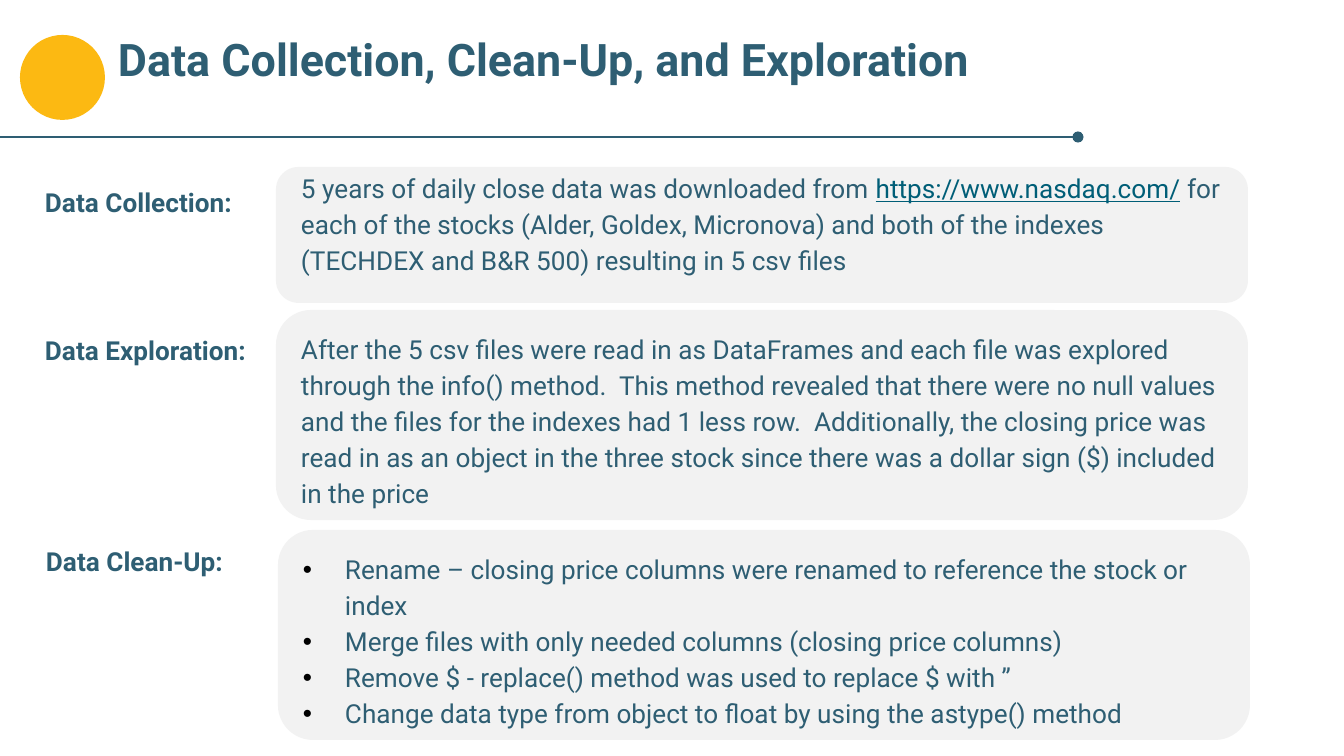
import pptx
import pptx.dml.color
import pptx.enum.shapes
import pptx.oxml
import pptx.oxml.ns
import pptx.util
from dataclasses import dataclass
from lxml import etree

TITLE = "Data Collection, Clean-Up, and Exploration"
SECTIONS = [
    {
        "label": "Data Collection:", "label_at": (32, 169),
        "panel_at": (276, 167), "height": 136, "body_shift": -12, "bullets": False,
        "body": [[
            ("5 years of daily close data was downloaded from ", False),
            ("https://www.nasdaq.com/", True),
            (" for each of the stocks (Alder, Goldex, Micronova) and both of the indexes "
             "(TECHDEX and B&R 500) resulting in 5 csv files", False),
        ]],
    },
    {
        "label": "Data Exploration:", "label_at": (32, 317),
        "panel_at": (276, 310), "height": 210, "body_shift": 6, "bullets": False,
        "body": [[
            ("After the 5 csv files were read in as DataFrames and each file was explored "
             "through the info() method.  This method revealed that there were no null values "
             "and the files for the indexes had 1 less row.  Additionally, the closing price was "
             "read in as an object in the three stock since there was a dollar sign ($) included "
             "in the price", False),
        ]],
    },
    {
        "label": "Data Clean-Up:", "label_at": (33, 528),
        "panel_at": (278, 530), "height": 210, "body_shift": 6, "bullets": True,
        "body": [
            [("Rename – closing price columns were renamed to reference the stock or index", False)],
            [("Merge files with only needed columns (closing price columns)", False)],
            [("Remove $ - replace() method was used to replace $ with ’’", False)],
            [("Change data type from object to float by using the astype() method", False)],
        ],
    },
]


@dataclass(frozen=True)
class Theme:
    font: str = "Roboto"
    ink: str = "2E5E73"
    address: str = "005E77"
    accent: str = "FCB912"
    panel: str = "F2F2F2"
    bullet: str = "000000"
    title_size: int = 24
    body_size: int = 14
    line_spacing: float = 1.15


THEME = Theme()
PANEL_WIDTH = 972
BODY_INSET = 12
LABEL_SIZE = (243, 63)
TEXT_MARGIN = 13
BULLET_INDENT = 42


def px(length):
    return round(length * 914400 / 134.4)


def rgb(value):
    return pptx.dml.color.RGBColor.from_string(value)


def add_bullet(paragraph):
    properties = paragraph._p.get_or_add_pPr()
    properties.set("marL", str(px(BULLET_INDENT)))
    properties.set("indent", str(-px(BULLET_INDENT)))
    color = etree.SubElement(properties, pptx.oxml.ns.qn("a:buClr"))
    etree.SubElement(color, pptx.oxml.ns.qn("a:srgbClr"), val=THEME.bullet)
    etree.SubElement(properties, pptx.oxml.ns.qn("a:buFont"), typeface="Arial")
    etree.SubElement(properties, pptx.oxml.ns.qn("a:buChar"), char="•")


def add_text(slide, paragraphs, box, size=THEME.body_size, bold=False,
             line_spacing=THEME.line_spacing, bullets=False):
    frame = slide.shapes.add_textbox(*map(px, box)).text_frame
    frame.word_wrap = True
    frame.margin_left = frame.margin_right = px(TEXT_MARGIN)
    frame.margin_top = frame.margin_bottom = px(TEXT_MARGIN)
    for index, pieces in enumerate(paragraphs):
        paragraph = frame.add_paragraph() if index else frame.paragraphs[0]
        if bullets:
            add_bullet(paragraph)
        paragraph.line_spacing = line_spacing
        for words, is_address in pieces:
            run = paragraph.add_run()
            run.text = words
            run.font.name = THEME.font
            run.font.size = pptx.util.Pt(size)
            run.font.bold = bold
            run.font.underline = is_address
            run.font.color.rgb = rgb(THEME.address if is_address else THEME.ink)


def add_filled(slide, kind, box, color):
    shape = slide.shapes.add_shape(kind, *map(px, box))
    shape.shadow.inherit = False
    shape.fill.solid()
    shape.fill.fore_color.rgb = rgb(color)
    shape.line.fill.background()


def add_rule(slide, left, right, y):
    rule = slide.shapes.add_connector(
        pptx.enum.shapes.MSO_CONNECTOR.STRAIGHT, px(left), px(y), px(right), px(y))
    rule.line.color.rgb = rgb(THEME.ink)
    rule.line.width = pptx.util.Pt(1.5)
    etree.SubElement(rule.line._get_or_add_ln(), pptx.oxml.ns.qn("a:tailEnd"), type="oval")
    etree.SubElement(rule._element.spPr, pptx.oxml.ns.qn("a:effectLst"))


def add_section(slide, section):
    left, top = section["panel_at"]
    height = section["height"]
    add_filled(slide, pptx.enum.shapes.MSO_SHAPE.ROUNDED_RECTANGLE,
               (left, top, PANEL_WIDTH, height), THEME.panel)
    add_text(slide, section["body"],
             (left + BODY_INSET, top + section["body_shift"],
              PANEL_WIDTH - 2 * BODY_INSET, height),
             bullets=section["bullets"])
    add_text(slide, [[(section["label"], False)]], section["label_at"] + LABEL_SIZE, bold=True)


def main():
    deck = pptx.Presentation()
    deck.slide_width, deck.slide_height = px(1344), px(756)
    slide = deck.slides.add_slide(deck.slide_layouts[6])
    add_filled(slide, pptx.enum.shapes.MSO_SHAPE.OVAL, (20, 35, 85, 85), THEME.accent)
    add_text(slide, [[(TITLE, False)]], (105, 19, 1193, 85),
             size=THEME.title_size, bold=True, line_spacing=1.0)
    add_rule(slide, -1, 1078, 137)
    for section in SECTIONS:
        add_section(slide, section)
    deck.save("out.pptx")


if __name__ == "__main__":
    main()
